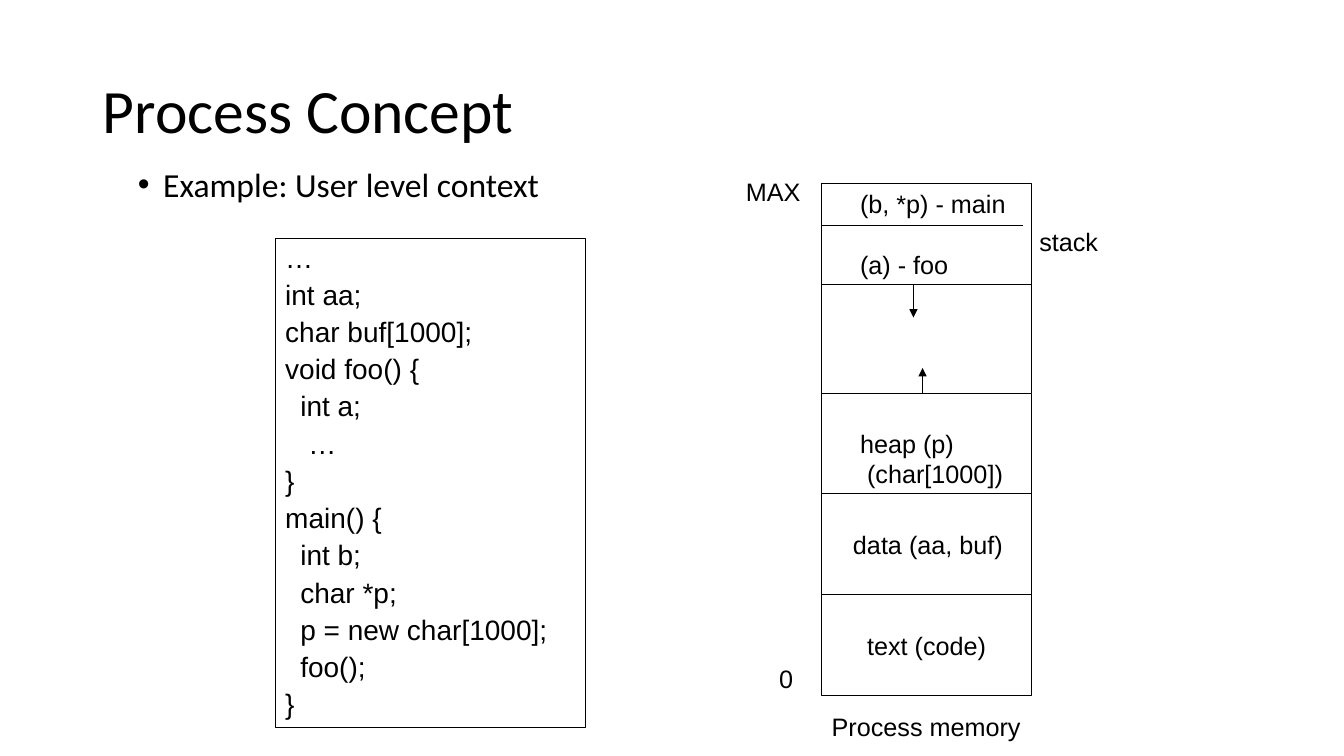
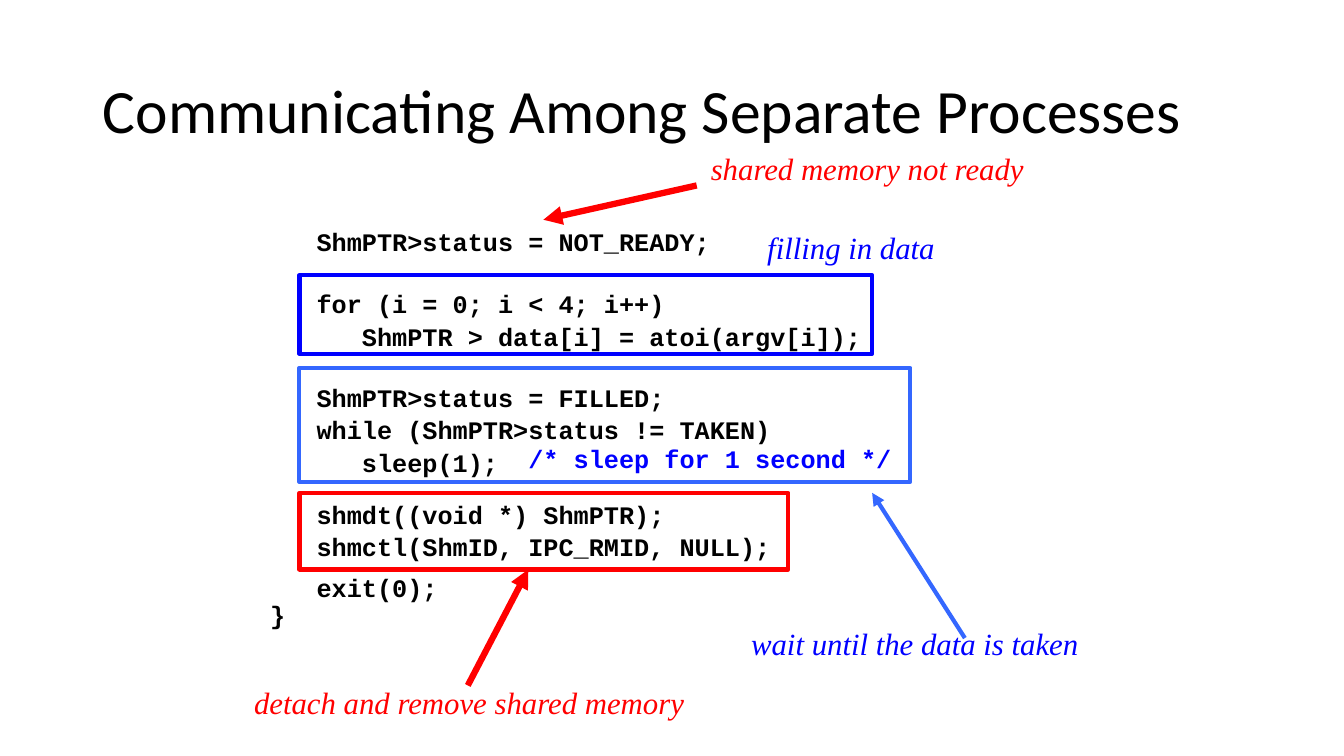
from lxml.etree import SubElement
from pptx import Presentation
from pptx.dml.color import RGBColor
from pptx.enum.shapes import MSO_CONNECTOR, MSO_SHAPE
from pptx.enum.text import MSO_ANCHOR, MSO_AUTO_SIZE, PP_ALIGN
from pptx.oxml.ns import qn
from pptx.util import Pt

PX = 9144
BLACK = RGBColor(0, 0, 0)
RED = RGBColor(255, 0, 0)
BLUE = RGBColor(0, 0, 255)
SKY = RGBColor(0x34, 0x67, 0xFF)
CODE = dict(font="Courier New", bold=True, inset=(0, 2), after=1.8)
NOTE = dict(font="Times New Roman", size=22, italic=True, inset=(0, 2))


def emu(*sizes):
    return [size * PX for size in sizes]


def write(frame, lines, size=18, font="Arial", color=BLACK, bold=False, italic=False,
          inset=(10, 5), anchor=MSO_ANCHOR.TOP, space=1, after=0, bullet=None):
    frame.auto_size = MSO_AUTO_SIZE.NONE
    frame.word_wrap = True
    frame.vertical_anchor = anchor
    frame.margin_left, frame.margin_top = emu(*inset)
    frame.margin_right, frame.margin_bottom = emu(0, inset[1])
    for row, line in enumerate(lines):
        dent, words = line if isinstance(line, tuple) else (0, line)
        para = frame.add_paragraph() if row else frame.paragraphs[0]
        para.alignment = PP_ALIGN.LEFT
        para.line_spacing = space
        para.space_before, para.space_after = Pt(0), Pt(after)
        props = para._p.get_or_add_pPr()
        props.set("marL", str(dent * PX))
        if bullet:
            props.set("indent", str(-dent * PX))
            SubElement(props, qn("a:buFont")).set("typeface", "Arial")
            SubElement(props, qn("a:buChar")).set("char", bullet)
        run = para.add_run()
        run.text = words
        face = run.font
        face.size, face.name = Pt(size), font
        face.bold, face.italic = bold, italic
        face.color.rgb = color


def label(slide, box, *lines, **form):
    write(slide.shapes.add_textbox(*emu(*box)).text_frame, lines, **form)


def frame(slide, box, *lines, edge=BLACK, width=0.75, **form):
    shape = slide.shapes.add_shape(MSO_SHAPE.RECTANGLE, *emu(*box))
    shape.shadow.inherit = False
    shape.fill.background()
    shape.line.color.rgb = edge
    shape.line.width = Pt(width)
    if lines:
        write(shape.text_frame, lines, **form)


def rule(slide, start, end, color=BLACK, width=0.75, arrow=False):
    line = slide.shapes.add_connector(MSO_CONNECTOR.STRAIGHT, *emu(*start, *end))
    line.line.color.rgb = color
    line.line.width = Pt(width)
    if arrow:
        SubElement(line.line._get_or_add_ln(), qn("a:tailEnd")).set("type", "triangle")
    SubElement(line._element.spPr, qn("a:effectLst"))


def start(deck, words):
    slide = deck.slides.add_slide(deck.slide_layouts[5])
    title = slide.shapes.title
    title.left, title.top, title.width, title.height = emu(92, 40, 1150, 145)
    write(title.text_frame, [words], size=44, font="Calibri",
          anchor=MSO_ANCHOR.MIDDLE, space=0.9)
    return slide


def source(slide, box):
    frame(slide, box, "…", "int aa;", "char buf[1000];", "void foo() {",
          (15, "int a;"), (23, "…"), "}", "main() {", (15, "int b;"),
          (15, "char *p;"), (15, "p = new char[1000];"), (15, "foo();"), "}",
          size=20, space=0.9, after=5)


def memory(slide, x, y, wide, tall):
    gap = 108
    part = (tall - gap) // 4
    low = y + part
    heap = low + gap
    frame(slide, (x, y, wide, part), "(b, *p) - main", "(a) - foo",
          inset=(38, 5), after=22)
    rule(slide, (x, y + 42), (x + 200, y + 42))
    parts = [
        (("heap (p)", (7, "(char[1000])")), 38, MSO_ANCHOR.BOTTOM),
        (("data (aa, buf)",), 31, MSO_ANCHOR.MIDDLE),
        (("text (code)",), 45, MSO_ANCHOR.MIDDLE),
    ]
    for row, (lines, dent, anchor) in enumerate(parts):
        frame(slide, (x, heap + row * part, wide, part), *lines,
              inset=(dent, 5), anchor=anchor)
    for side in (x, x + wide):
        rule(slide, (side, low), (side, heap))
    rule(slide, (x + 91, low), (x + 91, low + 33), arrow=True)
    rule(slide, (x + 100, heap), (x + 100, heap - 25), arrow=True)
    for left, top, width, words in (
        (-85, -12, 84, "MAX"),
        (-52, 471, 40, "0"),
        (wide - 2, 38, 95, "stack"),
        (0, 519, 240, "Process memory"),
    ):
        label(slide, (x + left, y + top, width, 40), words)


def listing(slide, x, y):
    tab = 45
    blocks = [
        (0, 0, ["ShmPTR>status = NOT_READY;"]),
        (0, 62, ["for (i = 0; i < 4; i++)",
                 (tab, "ShmPTR > data[i] = atoi(argv[i]);")]),
        (0, 155, ["ShmPTR>status = FILLED;", "while (ShmPTR>status != TAKEN)",
                  (tab, "sleep(1);")]),
        (0, 271, ["shmdt((void *) ShmPTR);", "shmctl(ShmID, IPC_RMID, NULL);"]),
        (0, 344, ["exit(0);"]),
        (-46, 371, ["}"]),
    ]
    for left, top, lines in blocks:
        label(slide, (x + left, y + top, 560, 31 * len(lines)), *lines, **CODE)
    label(slide, (x + tab + 165, y + 216, 400, 31),
          "/* sleep for 1 second */", color=BLUE, **CODE)
    for top, wide, tall, color in (
        (51, 568, 78, BLUE), (143, 606, 113, SKY), (267, 485, 76, RED),
    ):
        frame(slide, (x - 17, y + top, wide, tall), edge=color, width=2.95)


def notes(slide, x, y):
    for left, top, words, color in (
        (453, 0, "shared memory not ready", RED),
        (509, 78, "filling in data", BLUE),
        (493, 471, "wait until the data is taken", BLUE),
        (0, 529, "detach and remove shared memory", RED),
    ):
        label(slide, (x + left, y + top, 480, 34), words, color=color, **NOTE)
    for tail, tip, color, width in (
        ((439, 37), (287, 71), RED, 4.5),
        ((705, 486), (613, 342), SKY, 3),
        ((212, 533), (272, 418), RED, 4.5),
    ):
        rule(slide, (x + tail[0], y + tail[1]), (x + tip[0], y + tip[1]),
             color=color, width=width, arrow=True)


def main():
    deck = Presentation()
    deck.slide_width, deck.slide_height = emu(1333, 750)
    slide = start(deck, "Process Concept")
    label(slide, (127, 162, 560, 50), (25, "Example: User level context"),
          size=24, font="Calibri", space=0.9, bullet="•")
    source(slide, (273, 237, 308, 485))
    memory(slide, 815, 182, 208, 510)
    slide = start(deck, "Communicating Among Separate Processes")
    listing(slide, 314, 222)
    notes(slide, 252, 147)
    deck.save("out.pptx")


if __name__ == "__main__":
    main()
